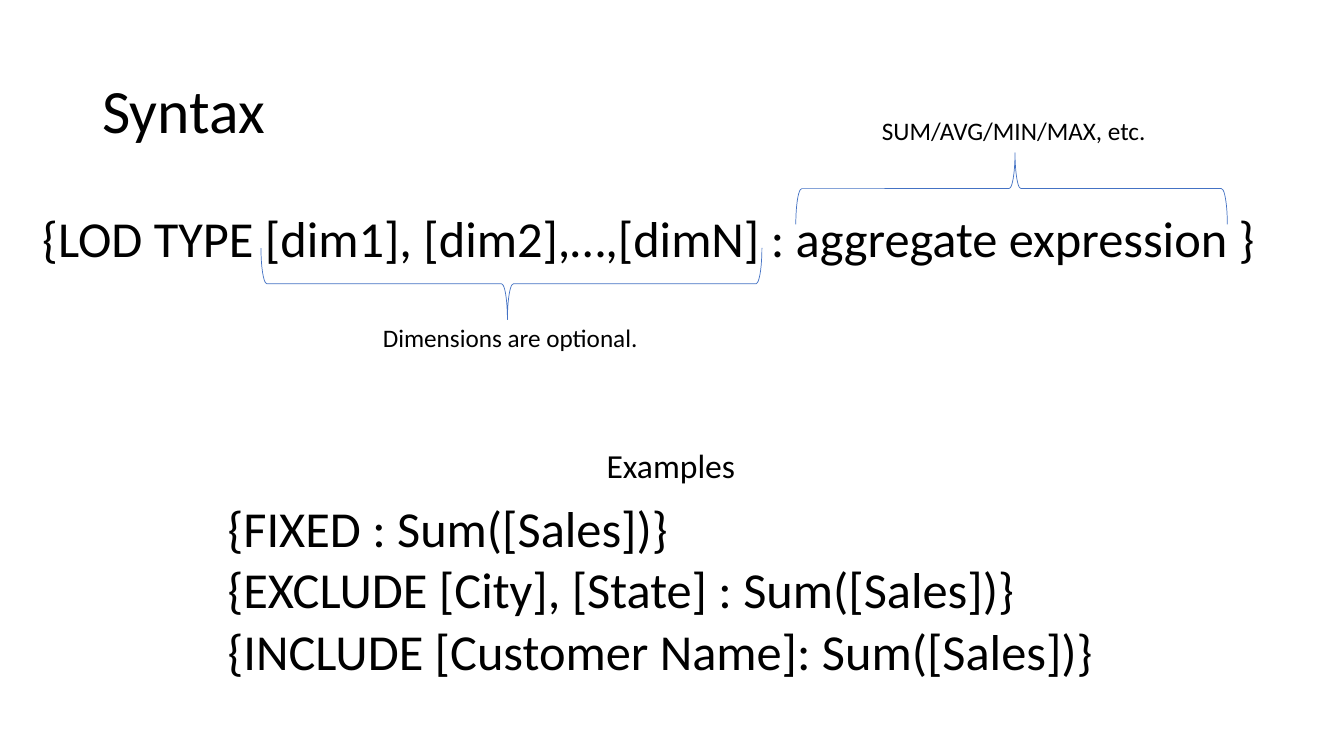
"""Build the slide that explains the syntax of level-of-detail expressions."""
from dataclasses import dataclass

import pptx
import pptx.dml.color
import pptx.enum.shapes
import pptx.enum.text
import pptx.slide
import pptx.util

Pt = pptx.util.Pt


@dataclass(frozen=True)
class Theme:
    font: str = "Calibri"
    ink: str = "000000"
    brace: str = "4472C4"
    brace_width: float = 0.5
    title: int = 44
    code: int = 36
    heading: int = 24
    caption: int = 18


@dataclass(frozen=True)
class Box:
    left: float
    top: float
    width: float
    height: float

    def lengths(self) -> list[pptx.util.Length]:
        return [Pt(n) for n in (self.left, self.top, self.width, self.height)]


@dataclass(frozen=True)
class Passage:
    box: Box
    lines: tuple[str, ...]
    size: int
    wrap: bool = True
    middle: bool = False
    line_spacing: float = 1.0
    space_before: float = 0
    indent: float = 0


@dataclass(frozen=True)
class Brace:
    box: Box
    rotation: int


THEME = Theme()


def code(box: Box, *lines: str) -> Passage:
    return Passage(box, lines, THEME.code, line_spacing=0.9, space_before=5, indent=1.44)


def label(box: Box, line: str, size: int) -> Passage:
    return Passage(box, (line,), size, wrap=False)


PASSAGES = (
    Passage(Box(66, 28.8, 828, 104.4), ("Syntax",), THEME.title, middle=True, line_spacing=0.9),
    code(Box(21.6, 149, 901.4, 104.4), "{LOD TYPE [dim1], [dim2],…,[dimN] : aggregate expression }"),
    label(Box(266.4, 226.8, 198.7, 29), "Dimensions are optional.", THEME.caption),
    code(
        Box(154, 356.4, 651.6, 150.5),
        "{FIXED : Sum([Sales])}",
        "{EXCLUDE [City], [State] : Sum([Sales])}",
        "{INCLUDE [Customer Name]: Sum([Sales])}",
    ),
    label(Box(426.2, 313.9, 107.3, 36), "Examples", THEME.heading),
    label(Box(622.8, 78.5, 205.2, 29), "SUM/AVG/MIN/MAX, etc.", THEME.caption),
)
BRACES = (
    Brace(Box(339.8, 23.8, 51.1, 357.8), 270),
    Brace(Box(697, -19.4, 51.1, 308.2), 90),
)


def draw_passage(slide: pptx.slide.Slide, passage: Passage) -> None:
    frame = slide.shapes.add_textbox(*passage.box.lengths()).text_frame
    frame.word_wrap = passage.wrap
    if not passage.wrap:
        frame.auto_size = pptx.enum.text.MSO_AUTO_SIZE.SHAPE_TO_FIT_TEXT
    if passage.middle:
        frame.vertical_anchor = pptx.enum.text.MSO_ANCHOR.MIDDLE
    frame.text = "\n".join(passage.lines)
    for paragraph in frame.paragraphs:
        paragraph.line_spacing = passage.line_spacing
        paragraph.space_before = Pt(passage.space_before)
        paragraph.font.name = THEME.font
        paragraph.font.size = Pt(passage.size)
        paragraph.font.color.rgb = pptx.dml.color.RGBColor.from_string(THEME.ink)
        if passage.indent:
            properties = paragraph._p.get_or_add_pPr()
            properties.set("marL", str(int(Pt(passage.indent))))
            properties.set("indent", "0")


def draw_brace(slide: pptx.slide.Slide, brace: Brace) -> None:
    outline = slide.shapes.add_shape(
        pptx.enum.shapes.MSO_SHAPE.LEFT_BRACE, *brace.box.lengths()
    )
    outline.rotation = brace.rotation
    outline.adjustments[0] = 0.083
    outline.adjustments[1] = 0.492
    outline.shadow.inherit = False
    outline.fill.background()
    outline.line.color.rgb = pptx.dml.color.RGBColor.from_string(THEME.brace)
    outline.line.width = Pt(THEME.brace_width)


def main() -> None:
    deck = pptx.Presentation()
    deck.slide_width, deck.slide_height = Pt(960), Pt(540)
    slide = deck.slides.add_slide(deck.slide_layouts[6])
    for brace in BRACES:
        draw_brace(slide, brace)
    for passage in PASSAGES:
        draw_passage(slide, passage)
    deck.save("out.pptx")


if __name__ == "__main__":
    main()
